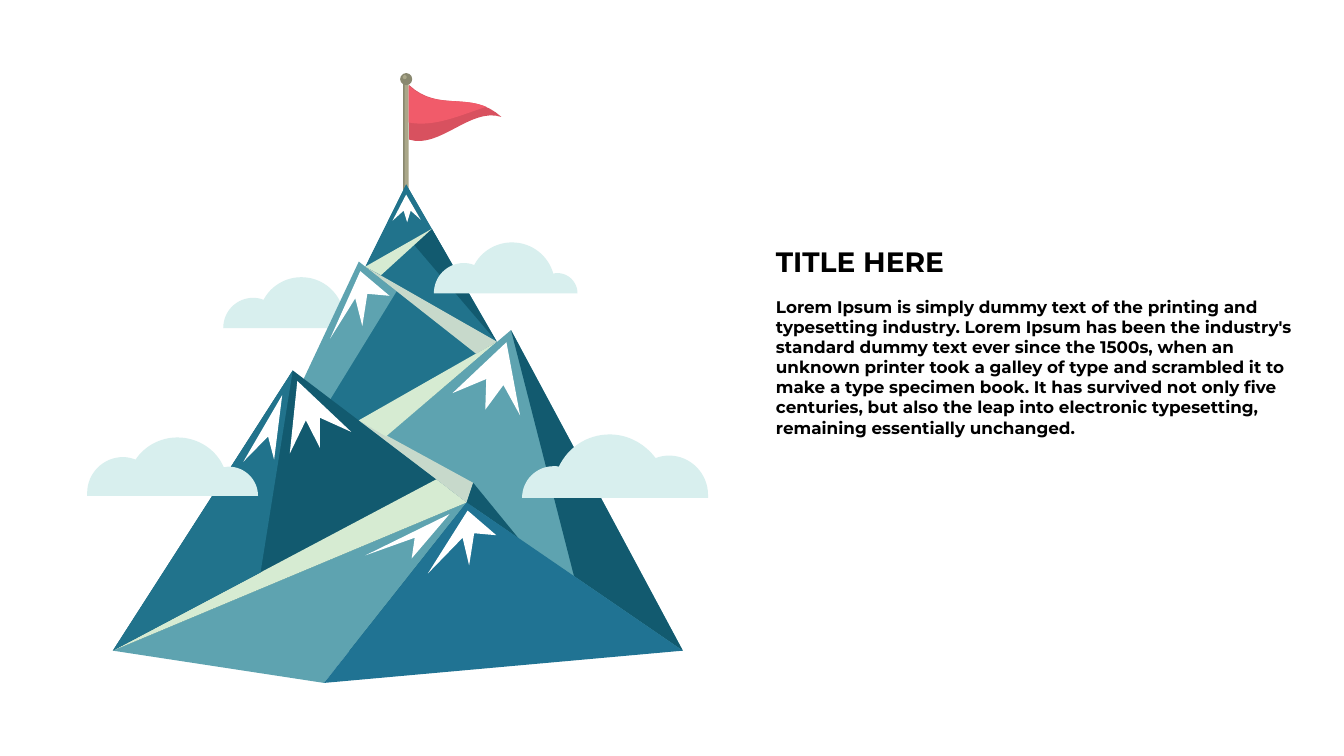
from pptx import Presentation
from pptx.dml.color import RGBColor
from pptx.enum.shapes import MSO_SHAPE
from pptx.enum.text import MSO_AUTO_SIZE
from pptx.util import Cm, Pt

CLOUD = RGBColor(0xD8, 0xEF, 0xEE)
POLE_LIGHT = RGBColor(0xAA, 0xA7, 0x89)
POLE_DARK = RGBColor(0x89, 0x88, 0x6F)
TEAL = RGBColor(0x21, 0x73, 0x8C)
PALE_TEAL = RGBColor(0x5E, 0xA3, 0xB0)
DEEP_TEAL = RGBColor(0x12, 0x5A, 0x6F)
BLUE = RGBColor(0x20, 0x73, 0x93)
PATH_LIGHT = RGBColor(0xD6, 0xEB, 0xD2)
PATH_SHADE = RGBColor(0xC7, 0xD9, 0xCB)
FLAG_LIGHT = RGBColor(0xF1, 0x5B, 0x6A)
FLAG_DARK = RGBColor(0xD8, 0x51, 0x5F)
WHITE = RGBColor(0xFF, 0xFF, 0xFF)
BLACK = RGBColor(0x00, 0x00, 0x00)
UNIT = 2.54
CURVE_STEPS = 16

presentation = Presentation()
presentation.slide_width = Cm(26.67 * UNIT)
presentation.slide_height = Cm(15 * UNIT)
slide = presentation.slides.add_slide(presentation.slide_layouts[6])
scene = slide.shapes.add_group_shape()


def paint(part, color):
    part.shadow.inherit = False
    part.fill.solid()
    part.fill.fore_color.rgb = color
    part.line.fill.background()


def draw_outline(color, segments, dx=0, dy=0):
    points = [segments[0]]
    for segment in segments[1:]:
        if len(segment) == 2:
            points.append(segment)
            continue
        x0, y0 = points[-1]
        x1, y1, x2, y2, x3, y3 = segment
        for step in range(1, CURVE_STEPS + 1):
            t = step / CURVE_STEPS
            a, b, c, d = (1 - t) ** 3, 3 * t * (1 - t) ** 2, 3 * t * t * (1 - t), t ** 3
            points.append((a * x0 + b * x1 + c * x2 + d * x3,
                           a * y0 + b * y1 + c * y2 + d * y3))
    corners = [(Cm((x + dx) * UNIT), Cm((y + dy) * UNIT)) for x, y in points]
    builder = scene.shapes.build_freeform(*corners[0])
    builder.add_line_segments(corners[1:], close=True)
    paint(builder.convert_to_shape(), color)


small_cloud = [
    (7.28, 6.51), (7.28, 6.29, 7.1, 6.11, 6.89, 6.11), (6.86, 6.11, 6.83, 6.11, 6.8, 6.12),
    (6.7, 5.76, 6.37, 5.5, 5.98, 5.5), (5.66, 5.5, 5.37, 5.68, 5.23, 5.95),
    (5.16, 5.92, 5.09, 5.91, 5.02, 5.91), (4.7, 5.91, 4.43, 6.17, 4.43, 6.51),
]
right_cloud = [
    (14.05, 9.88), (14.05, 9.82), (14.05, 9.39, 13.7, 9.04, 13.28, 9.04),
    (13.18, 9.04, 13.09, 9.06, 13.01, 9.09), (12.8, 8.81, 12.47, 8.62, 12.1, 8.62),
    (11.65, 8.62, 11.27, 8.88, 11.09, 9.26), (11.06, 9.25, 11.03, 9.25, 10.99, 9.25),
    (10.64, 9.25, 10.36, 9.53, 10.36, 9.88),
]
left_cloud = [
    (1.73, 9.84), (1.73, 9.78), (1.73, 9.39, 2.05, 9.07, 2.44, 9.07),
    (2.53, 9.07, 2.61, 9.09, 2.69, 9.12), (2.87, 8.85, 3.18, 8.68, 3.52, 8.68),
    (3.93, 8.68, 4.29, 8.92, 4.44, 9.27), (4.47, 9.27, 4.51, 9.26, 4.54, 9.26),
    (4.86, 9.26, 5.12, 9.52, 5.12, 9.84),
]

draw_outline(CLOUD, small_cloud)

for preset, color, left, top, width, height in [
    (MSO_SHAPE.RECTANGLE, POLE_LIGHT, 8.01, 1.65, 0.1, 2.13),
    (MSO_SHAPE.RECTANGLE, POLE_DARK, 8, 1.65, 0.03, 2.13),
    (MSO_SHAPE.OVAL, POLE_DARK, 7.94, 1.45, 0.24, 0.24),
    (MSO_SHAPE.OVAL, POLE_LIGHT, 7.99, 1.49, 0.08, 0.08),
]:
    pole_part = scene.shapes.add_shape(
        preset, Cm(left * UNIT), Cm(top * UNIT), Cm(width * UNIT), Cm(height * UNIT))
    paint(pole_part, color)

left_foot, right_foot, front_foot = (2.24, 12.91), (13.55, 12.91), (6.43, 13.55)
summit, upper_peak, right_peak = (8.06, 3.66), (7.12, 5.19), (10.14, 6.55)
left_peak, front_peak = (5.81, 7.35), (9.26, 9.97)
low_bend, middle_bend, high_bend = (8.66, 9.51), (7.12, 8.34), (9.86, 6.78)
top_bend, low_turn, top_turn = (7.25, 5.29), (9.39, 9.58), (8.57, 4.54)

mountain_faces = [
    (TEAL, [(3.49, 12.91), (13.4, 12.91), summit]),
    (PALE_TEAL, [(3.49, 12.91), (7.87, 5.78), upper_peak]),
    (PALE_TEAL, [right_foot, (2.65, 12.91), right_peak]),
    (DEEP_TEAL, [left_foot, (13.14, 12.91), left_peak]),
    (PALE_TEAL, [front_foot, left_foot, front_peak]),
    (PATH_LIGHT, [low_bend, left_foot, front_peak]),
    (PATH_SHADE, [low_bend, middle_bend, low_turn, front_peak]),
    (PATH_LIGHT, [high_bend, middle_bend, (7.66, 8.66)]),
    (PATH_SHADE, [high_bend, (9.45, 7.02), top_bend]),
    (DEEP_TEAL, [right_foot, (11.39, 11.43), right_peak]),
    (DEEP_TEAL, [(10.29, 10.68), low_turn, front_peak]),
    (BLUE, [right_foot, front_foot, front_peak]),
    (TEAL, [left_foot, (5.17, 11.36), left_peak]),
    (TEAL, [top_bend, (8.87, 5.07), summit]),
    (DEEP_TEAL, [top_turn, (9.85, 6.77), (8.22, 4.86)]),
    (PATH_LIGHT, [top_turn, top_bend, (7.56, 5.46)]),
]
flag = [
    (FLAG_DARK, [(8.12, 1.69), (8.12, 2.77), (8.73, 2.96, 9.34, 2.12, 9.95, 2.32),
                 (9.34, 1.77, 8.73, 2.25, 8.12, 1.69)]),
    (FLAG_LIGHT, [(9.65, 2.12), (9.14, 1.9, 8.62, 2.16, 8.11, 1.7), (8.11, 2.43),
                  (8.63, 2.53, 9.14, 2.28, 9.65, 2.12)]),
]
snow_caps = [
    [(5.9, 7.56), (5.75, 9), (6.07, 8.34), (6.35, 8.89), (6.35, 8.29), (6.97, 8.57)],
    [(5.6, 7.84), (5.44, 9.12), (5.32, 8.66), (4.83, 9.16)],
    [(10.05, 6.79), (8.98, 7.8), (9.65, 7.52), (9.63, 8.13), (9.99, 7.64), (10.32, 8.24)],
    [(8.06, 3.86), (7.79, 4.38), (8.01, 4.18), (8.08, 4.41), (8.15, 4.18), (8.35, 4.36)],
    [(7.15, 5.38), (6.55, 6.72), (7.05, 5.92), (7.19, 6.47), (7.29, 5.83), (7.73, 5.87)],
    [(9.28, 10.13), (8.49, 11.38), (9.18, 10.67), (9.31, 11.22), (9.41, 10.58), (9.85, 10.62)],
    [(8.92, 10.2), (7.25, 11.02), (8.23, 10.67), (8.17, 11.08)],
]

for color, segments in mountain_faces + flag:
    draw_outline(color, segments)
for snow_cap in snow_caps:
    draw_outline(WHITE, snow_cap)
draw_outline(CLOUD, right_cloud)
draw_outline(CLOUD, left_cloud)
draw_outline(CLOUD, small_cloud, 4.18, -0.69)

description = (
    "Lorem Ipsum is simply dummy text of the printing and typesetting industry. "
    "Lorem Ipsum has been the industry's standard dummy text ever since the 1500s, "
    "when an unknown printer took a galley of type and scrambled it to make a type "
    "specimen book. It has survived not only five centuries, but also the leap into "
    "electronic typesetting, remaining essentially unchanged."
)
for wording, size, top, width, height in [
    (description, 24, 5.83, 10.84, 2.93),
    ("TITLE HERE", 40, 4.8, 6.94, 0.77),
]:
    caption = slide.shapes.add_textbox(
        Cm(15.3 * UNIT), Cm(top * UNIT), Cm(width * UNIT), Cm(height * UNIT)).text_frame
    caption.word_wrap = True
    caption.auto_size = MSO_AUTO_SIZE.SHAPE_TO_FIT_TEXT
    run = caption.paragraphs[0].add_run()
    run.text = wording
    run.font.name = "Montserrat"
    run.font.size = Pt(size)
    run.font.bold = True
    run.font.color.rgb = BLACK

presentation.save("out.pptx")
